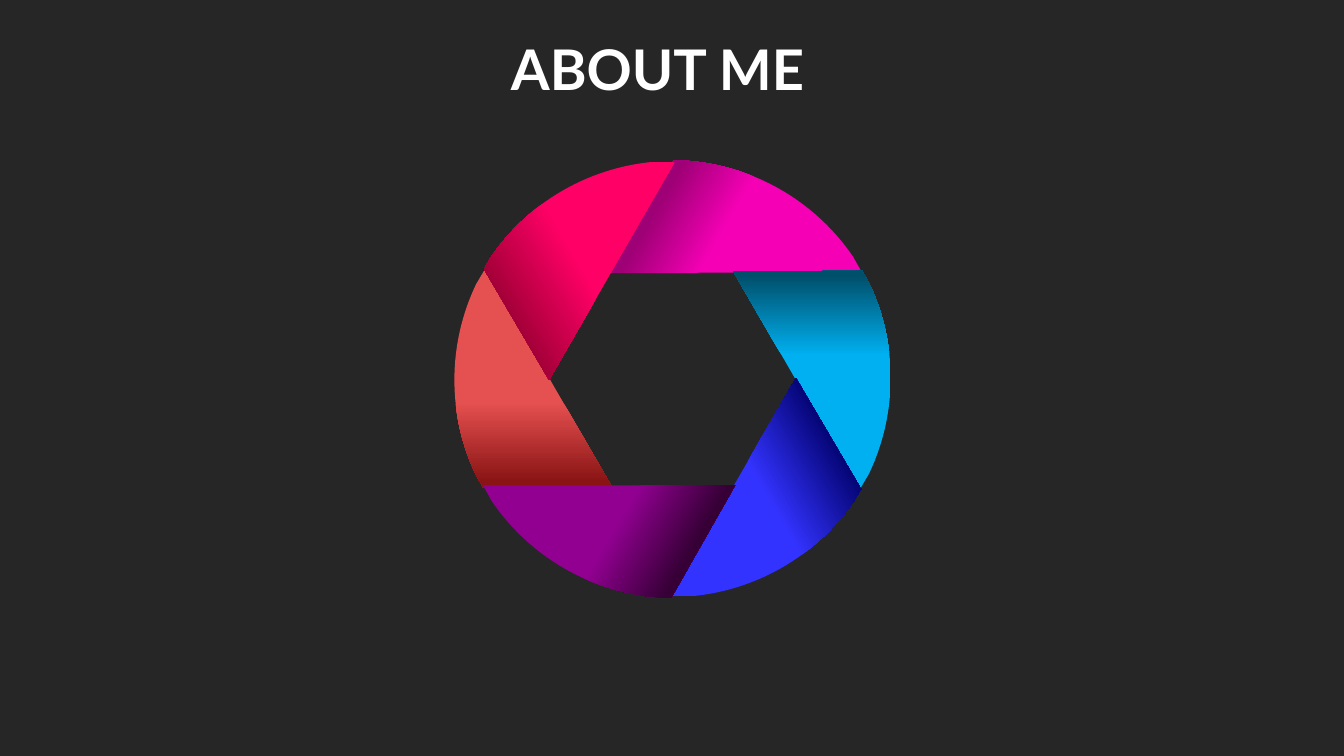
import math
from dataclasses import dataclass

from pptx import Presentation
from pptx import util as u
from pptx.dml.color import RGBColor
from pptx.enum import text
from pptx.oxml.ns import qn
from pptx.oxml.xmlchemy import OxmlElement


@dataclass(frozen=True)
class Theme:
    background: str = "262626"
    title_color: str = "FFFFFF"
    font: str = "Lato"
    title_size: int = 40
    gradient_angle: int = 150  # counter-clockwise, turns with the blade


THEME = Theme()
HUB_X, HUB_Y = 6.67, 3.76
BLADE_WIDTH, BLADE_HEIGHT = 2.5, 1.11
BLADE_X, BLADE_Y = 0.63, -1.61  # middle of the upright blade, from the hub

# Upright blade from its top left; the rim curve runs from the second point
# through two control points to the fifth.
BLADE_OUTLINE = [
    (0.63, 0), (0.76, 0), (1.44, 0.05), (2.04, 0.41), (2.41, 0.95),
    (BLADE_WIDTH, BLADE_HEIGHT), (0, BLADE_HEIGHT),
]

# turn in degrees, bright stop, dark stop (percent, colour), back to front
BLADES = [
    (0, (51, "F600B6"), (77, "9E0075")),
    (240, (49, "E55050"), (78, "8A1414")),
    (60, (49, "00B0F0"), (78, "00506C")),
    (300, (49, "FF0066"), (78, "990033")),
    (120, (49, "3333FF"), (78, "000066")),
    (180, (49, "920092"), (78, "360036")),
]


def curve_rim(blade):
    """Merge the three rim segments into one Bezier curve."""
    rim = list(blade._element.iter(qn("a:lnTo")))[1:4]
    curve = OxmlElement("a:cubicBezTo")
    rim[0].addprevious(curve)
    for segment in rim:
        curve.append(segment[0])
        segment.getparent().remove(segment)


def add_blade(wheel, turn, *stops):
    """Draw the upright blade, carried round the hub by the turn."""
    cos, sin = math.cos(math.radians(turn)), math.sin(math.radians(turn))
    left = HUB_X + BLADE_X * cos - BLADE_Y * sin - BLADE_WIDTH / 2
    top = HUB_Y + BLADE_X * sin + BLADE_Y * cos - BLADE_HEIGHT / 2

    points = [(u.Inches(x), u.Inches(y)) for x, y in BLADE_OUTLINE]
    builder = wheel.shapes.build_freeform(*points[0])
    builder.add_line_segments(points[1:], close=True)
    blade = builder.convert_to_shape(u.Inches(left), u.Inches(top))
    curve_rim(blade)
    blade.rotation = turn
    blade.shadow.inherit = False
    blade.line.fill.background()
    blade.fill.gradient()
    blade.fill.gradient_angle = THEME.gradient_angle
    for stop, (percent, color) in zip(blade.fill.gradient_stops, stops):
        stop.position = percent / 100
        stop.color.rgb = RGBColor.from_string(color)


def add_text(page, content, *, left, top, width, height, size, color, bold=False):
    box = page.shapes.add_textbox(*map(u.Inches, (left, top, width, height)))
    frame = box.text_frame
    frame.word_wrap = True
    frame.auto_size = text.MSO_AUTO_SIZE.SHAPE_TO_FIT_TEXT
    frame.vertical_anchor = text.MSO_ANCHOR.MIDDLE
    span = frame.paragraphs[0].add_run()
    span.text = content
    span.font.name = THEME.font
    span.font.size = u.Pt(size)
    span.font.bold = bold
    span.font.color.rgb = RGBColor.from_string(color)


def main():
    deck = Presentation()
    deck.slide_width, deck.slide_height = u.Inches(13.33), u.Inches(7.5)
    page = deck.slides.add_slide(deck.slide_layouts[6])
    page.background.fill.solid()
    page.background.fill.fore_color.rgb = RGBColor.from_string(THEME.background)

    wheel = page.shapes.add_group_shape()
    for blade in BLADES:
        add_blade(wheel, *blade)
    add_text(page, "ABOUT ME", left=4.97, top=0.29, width=3.57, height=0.77,
             size=THEME.title_size, color=THEME.title_color, bold=True)
    deck.save("out.pptx")


if __name__ == "__main__":
    main()
